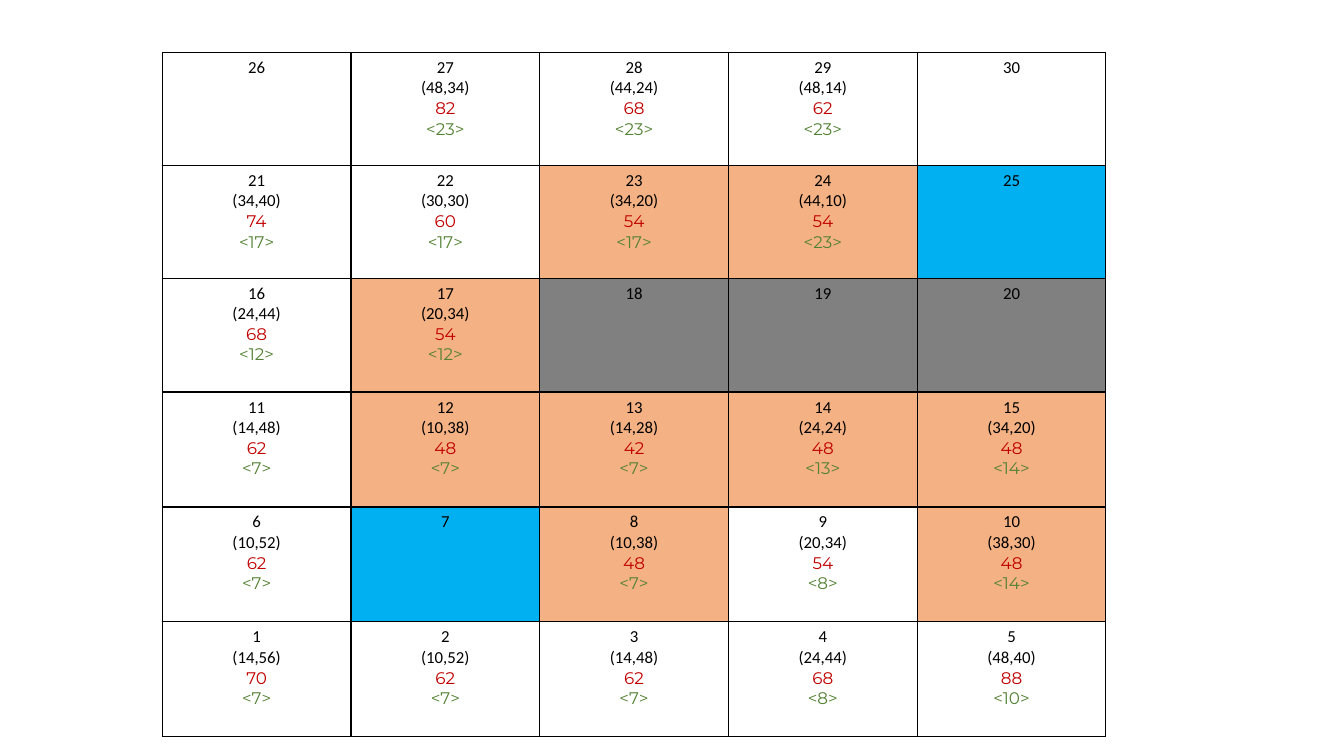
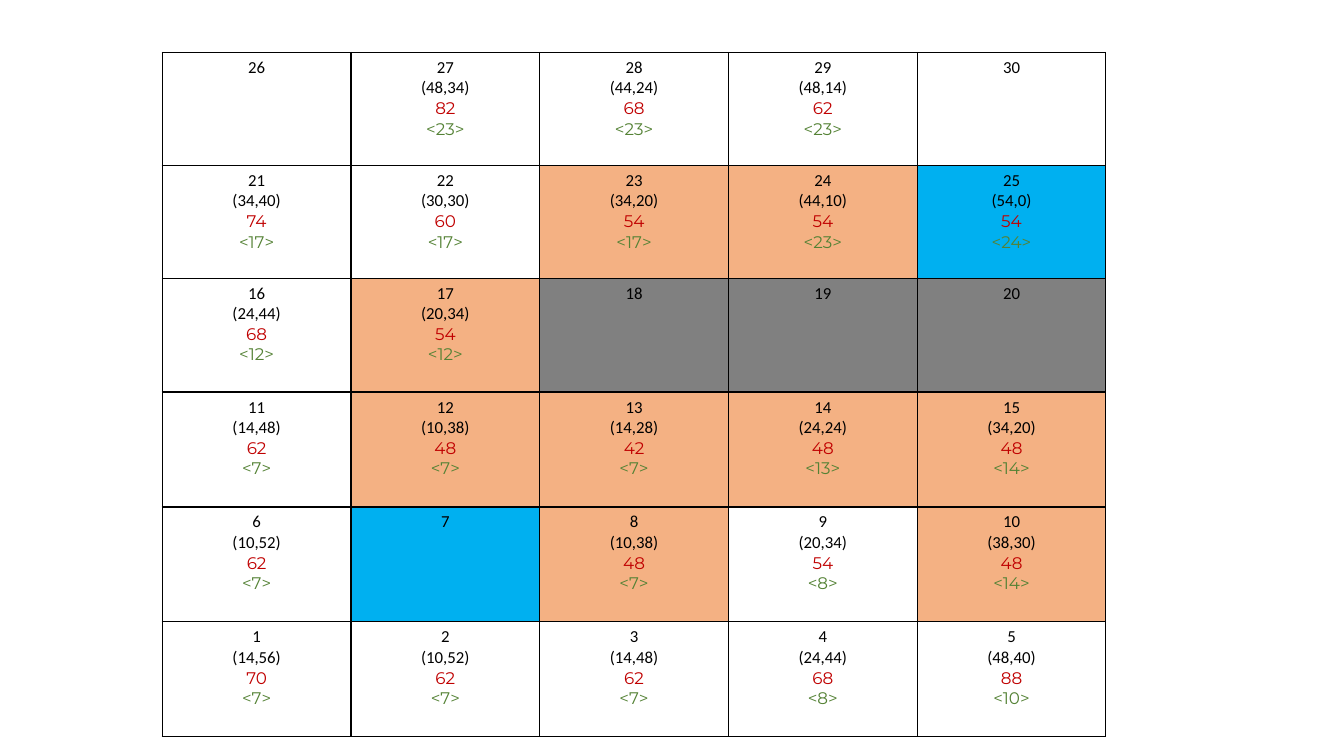
from lxml.etree import SubElement
from pptx import Presentation
from pptx.dml.color import RGBColor as Rgb
from pptx.enum.text import PP_ALIGN as Align
from pptx.oxml.ns import qn
from pptx.util import Inches, Pt

COLOURS = {
    "ink": "000000",
    "total": "C00000",
    "parent": "548235",
    "plain": "FFFFFF",
    "visited": "F4B183",
    "endpoint": "00B0F0",
    "wall": "808080",
}
NUMBER_STYLE = ("Calibri", "ink")
COST_STYLES = [("Calibri", "ink"), ("Montserrat", "total"), ("Montserrat", "parent")]

# Grid geometry in inches: left, top, width, and the rows from top to bottom
GRID_BOX = (1.61, 0.52, 9.36)
ROW_HEIGHTS = [1.12, 1.12, 1.13, 1.14, 1.14, 1.14]
COLUMN_COUNT = 5

# Which squares carry which fill
SQUARE_KINDS = {
    "visited": {8, 10, 12, 13, 14, 15, 17, 23, 24},
    "endpoint": {7, 25},
    "wall": {18, 19, 20},
}

# Square number: (cost so far, cost to go), total as shown, parent square
COSTS = {
    1: ((14, 56), 70, 7),
    2: ((10, 52), 62, 7),
    3: ((14, 48), 62, 7),
    4: ((24, 44), 68, 8),
    5: ((48, 40), 88, 10),
    6: ((10, 52), 62, 7),
    8: ((10, 38), 48, 7),
    9: ((20, 34), 54, 8),
    10: ((38, 30), 48, 14),
    11: ((14, 48), 62, 7),
    12: ((10, 38), 48, 7),
    13: ((14, 28), 42, 7),
    14: ((24, 24), 48, 13),
    15: ((34, 20), 48, 14),
    16: ((24, 44), 68, 12),
    17: ((20, 34), 54, 12),
    21: ((34, 40), 74, 17),
    22: ((30, 30), 60, 17),
    23: ((34, 20), 54, 17),
    24: ((44, 10), 54, 23),
    27: ((48, 34), 82, 23),
    28: ((44, 24), 68, 23),
    29: ((48, 14), 62, 23),
}
GOAL_COST = {25: ((54, 0), 54, 24)}


def colour(name):
    return Rgb.from_string(COLOURS[name])


def square_fill(number):
    for kind, numbers in SQUARE_KINDS.items():
        if number in numbers:
            return kind
    return "plain"


def square_lines(number, costs):
    """List the text lines of a square, each with its font and colour."""
    lines = [(str(number), NUMBER_STYLE)]
    if number in costs:
        (so_far, to_go), total, parent = costs[number]
        texts = [f"({so_far},{to_go})", str(total), f"<{parent}>"]
        lines += zip(texts, COST_STYLES)
    return lines


def add_borders(cell, points=1):
    properties = cell._tc.get_or_add_tcPr()
    for side in ("a:lnL", "a:lnR", "a:lnT", "a:lnB"):
        line = SubElement(properties, qn(side), w=str(Pt(points)))
        fill = SubElement(line, qn("a:solidFill"))
        SubElement(fill, qn("a:srgbClr"), val=COLOURS["ink"])


def fill_square(cell, number, costs):
    # Borders come before the fill in the cell properties
    add_borders(cell)
    cell.fill.solid()
    cell.fill.fore_color.rgb = colour(square_fill(number))
    frame = cell.text_frame
    for index, (text, (font, ink)) in enumerate(square_lines(number, costs)):
        para = frame.add_paragraph() if index else frame.paragraphs[0]
        para.text = text
        para.alignment = Align.CENTER
        para.font.name = font
        para.font.size = Pt(12)
        para.font.color.rgb = colour(ink)


def add_grid(page, box, costs):
    """Draw the numbered search grid, counting up from the bottom left."""
    left, top, width = box
    row_count = len(ROW_HEIGHTS)
    table = page.shapes.add_table(
        row_count, COLUMN_COUNT, Inches(left), Inches(top),
        Inches(width), Inches(sum(ROW_HEIGHTS))).table
    table.first_row = False
    table.horz_banding = False
    for column in table.columns:
        column.width = Inches(width / COLUMN_COUNT)
    for row_index, height in enumerate(ROW_HEIGHTS):
        table.rows[row_index].height = Inches(height)
        first_number = (row_count - 1 - row_index) * COLUMN_COUNT + 1
        for column_index in range(COLUMN_COUNT):
            cell = table.cell(row_index, column_index)
            fill_square(cell, first_number + column_index, costs)


def main():
    deck = Presentation()
    deck.slide_width, deck.slide_height = Inches(13.33), Inches(7.5)
    blank = deck.slide_layouts[6]
    # The second slide adds the costs of the goal square
    for costs in (COSTS, COSTS | GOAL_COST):
        add_grid(deck.slides.add_slide(blank), GRID_BOX, costs)
    deck.save("out.pptx")


if __name__ == "__main__":
    main()
